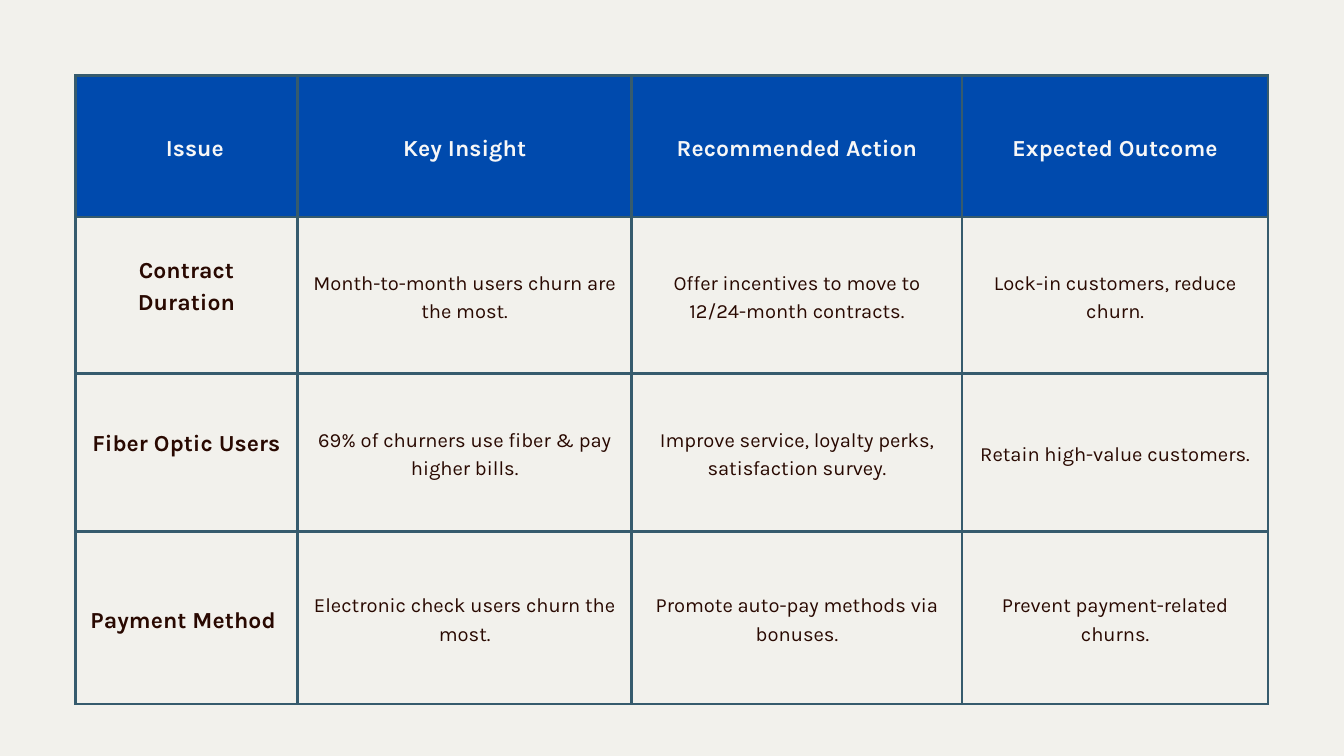
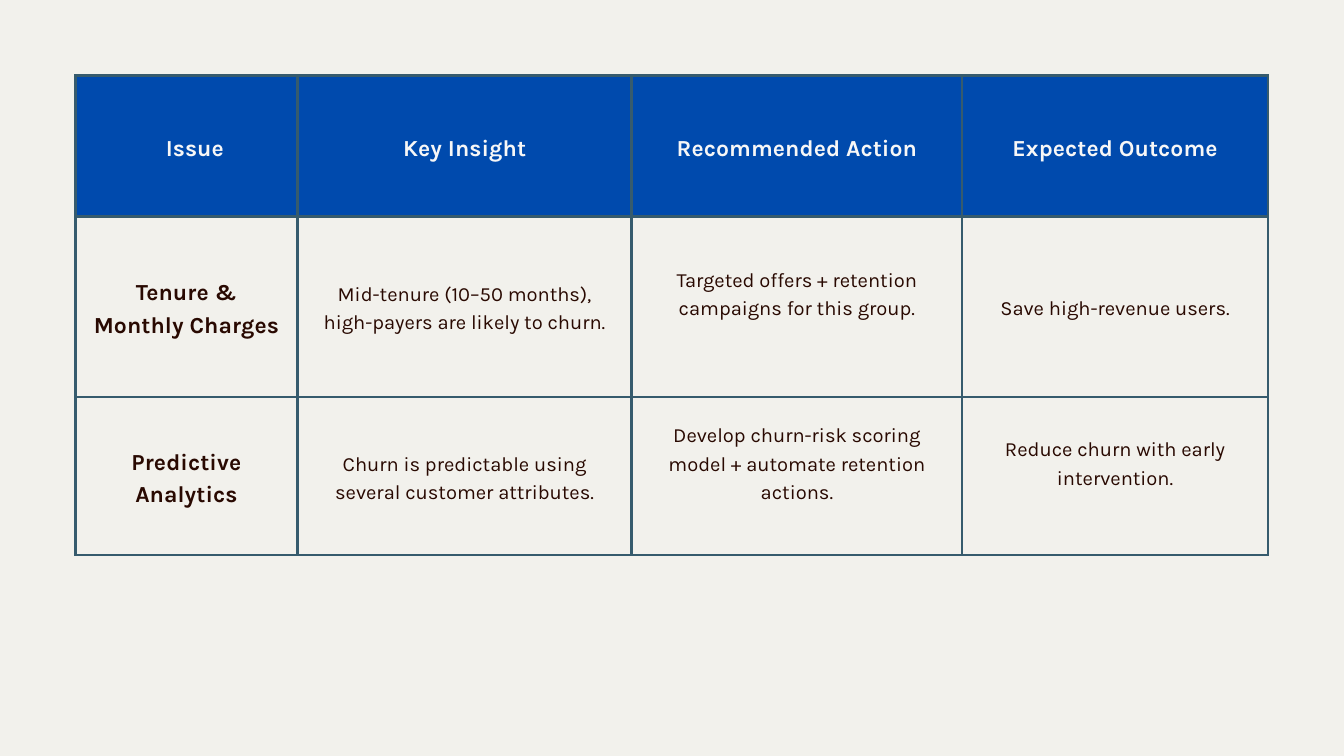
from lxml import etree
from pptx import Presentation
from pptx.dml.color import RGBColor
from pptx.enum.text import MSO_ANCHOR, PP_ALIGN
from pptx.oxml.ns import qn
from pptx.util import Inches, Pt

CENTER = PP_ALIGN.CENTER
MIDDLE = MSO_ANCHOR.MIDDLE

COLORS = {
    "background": "F2F1EC",
    "header": "004AAD",
    "header_text": "F7F7F7",
    "text": "290901",
    "border": "365B6D",
}
FONT = "Karla"
BORDER_WIDTH = Pt(3)
MARGIN = 0.21
LEFT = TOP = 1.12
COLUMN_WIDTHS = [3.31, 4.97, 4.92, 4.55]
HEADINGS = ["Issue", "Key Insight", "Recommended Action", "Expected Outcome"]

TABLES = [
    {
        "heights": [2.11, 2.33, 2.35, 2.57],
        "rows": [
            ["Contract Duration", "Month-to-month users churn are the most.",
             "Offer incentives to move to 12/24-month contracts.",
             "Lock-in customers, reduce churn."],
            ["Fiber Optic Users", "69% of churners use fiber & pay higher bills.",
             "Improve service, loyalty perks, satisfaction survey.",
             "Retain high-value customers."],
            ["Payment Method", "Electronic check users churn the most.",
             "Promote auto-pay methods via bonuses.",
             "Prevent payment-related churns."],
        ],
        "extra_bottom": {(1, 0): 0.34, (2, 0): 0.34},
        "extra_right": {(3, 0): 0.1},
    },
    {
        "heights": [2.1, 2.69, 2.35],
        "rows": [
            ["Tenure & Monthly Charges",
             "Mid-tenure (10–50 months), high-payers are likely to churn.",
             "Targeted offers + retention campaigns for this group.",
             "Save high-revenue users."],
            ["Predictive Analytics",
             "Churn is predictable using several customer attributes.",
             "Develop churn-risk scoring model + automate retention actions.",
             "Reduce churn with early intervention."],
        ],
        "extra_bottom": {(1, 2): 0.42, (2, 2): 0.42, (2, 3): 0.42},
        "extra_right": {},
    },
]


def write_text(cell, text, size=21.6, line_spacing=30.3, bold=False, color="text"):
    paragraph = cell.text_frame.paragraphs[0]
    paragraph.alignment = CENTER
    paragraph.line_spacing = Pt(line_spacing)
    run = paragraph.add_run()
    run.text = text
    run.font.name = FONT
    run.font.size = Pt(size)
    run.font.bold = bold
    run.font.color.rgb = RGBColor.from_string(COLORS[color])
    if bold:
        run._r.get_or_add_rPr().set("spc", "10")


def add_borders(cell):
    properties = cell._tc.get_or_add_tcPr()
    for side in ("lnL", "lnR", "lnT", "lnB"):
        line = etree.SubElement(properties, qn(f"a:{side}"), w=str(BORDER_WIDTH))
        fill = etree.SubElement(line, qn("a:solidFill"))
        etree.SubElement(fill, qn("a:srgbClr"), val=COLORS["border"])


presentation = Presentation()
presentation.slide_width = Inches(20)
presentation.slide_height = Inches(11.25)

for content in TABLES:
    slide = presentation.slides.add_slide(presentation.slide_layouts[6])
    slide.background.fill.solid()
    slide.background.fill.fore_color.rgb = RGBColor.from_string(COLORS["background"])

    rows = [HEADINGS] + content["rows"]
    heights = content["heights"]
    table = slide.shapes.add_table(
        len(rows), len(COLUMN_WIDTHS), Inches(LEFT), Inches(TOP),
        Inches(sum(COLUMN_WIDTHS)), Inches(sum(heights))).table
    table.first_row = False
    table.horz_banding = False
    for column, width in zip(table.columns, COLUMN_WIDTHS):
        column.width = Inches(width)

    for row_index, texts in enumerate(rows):
        table.rows[row_index].height = Inches(heights[row_index])
        for column_index, text in enumerate(texts):
            position = (row_index, column_index)
            cell = table.cell(*position)
            cell.vertical_anchor = MIDDLE
            cell.margin_left = Inches(MARGIN + (0.25 if position == (0, 0) else 0))
            cell.margin_right = Inches(MARGIN + content["extra_right"].get(position, 0))
            cell.margin_top = Inches(MARGIN)
            cell.margin_bottom = Inches(MARGIN + content["extra_bottom"].get(position, 0))
            add_borders(cell)
            if row_index == 0:
                cell.fill.solid()
                cell.fill.fore_color.rgb = RGBColor.from_string(COLORS["header"])
                write_text(cell, text, size=24.6, line_spacing=34.5, bold=True,
                           color="header_text")
            else:
                cell.fill.background()
                if column_index == 0:
                    write_text(cell, text, size=24.6, line_spacing=34.5, bold=True)
                else:
                    write_text(cell, text)

presentation.save("out.pptx")
